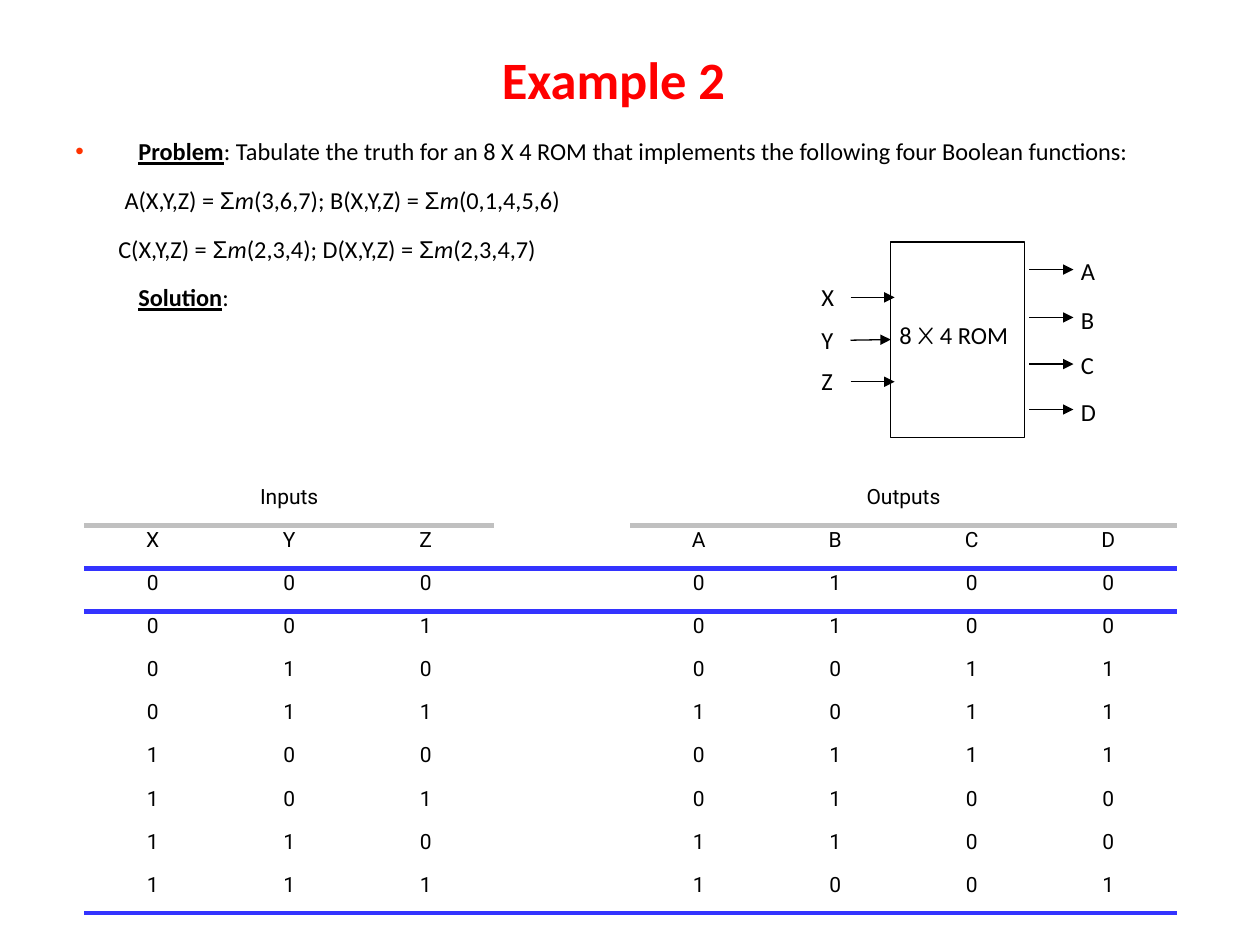
from typing import NamedTuple

from lxml import etree
from pptx import Presentation
from pptx import util as u
from pptx.dml.color import RGBColor
from pptx.enum import shapes, text
from pptx.oxml import ns

BLACK, RED, GREY, BLUE = "000000", "FF0000", "C0C0C0", "3333FF"
BODY_SIZE = 13.9
INPUTS = "XYZ"
MINTERMS = {"A": (3, 6, 7), "B": (0, 1, 4, 5, 6), "C": (2, 3, 4), "D": (2, 3, 4, 7)}
NO_TABLE_STYLE = "{2D5ABB26-0587-4C30-8999-92F81FD0307C}"


class Port(NamedTuple):
    name: str
    arrow_y: float
    label_top: float


INPUT_PORTS = [Port("X", 2.36, 2.19), Port("Y", 2.7, 2.53), Port("Z", 3.03, 2.86)]
OUTPUT_PORTS = [Port("A", 2.14, 1.98), Port("B", 2.52, 2.37),
                Port("C", 2.89, 2.73), Port("D", 3.25, 3.1)]


def colour(value: str) -> RGBColor:
    return RGBColor.from_string(value)


def add_xml(parent, tag: str, **attributes: str):
    return etree.SubElement(parent, ns.qn(tag), **attributes)


def add_span(para, words: str, size: float = 14, font: str = "Calibri", ink: str = BLACK,
             bold: bool = False, italic: bool = False, underline: bool = False) -> None:
    span = para.add_run()
    span.text = words
    span.font.size, span.font.name = u.Pt(size), font
    span.font.bold, span.font.italic, span.font.underline = bold, italic, underline
    span.font.color.rgb = colour(ink)


def add_box(page, left: float, top: float, width: float, height: float, wrap: bool = False):
    box = page.shapes.add_textbox(u.Inches(left), u.Inches(top), u.Inches(width), u.Inches(height))
    box.text_frame.word_wrap = wrap
    return box.text_frame


def add_arrow(page, left: float, right: float, y: float):
    arrow = page.shapes.add_connector(shapes.MSO_CONNECTOR.STRAIGHT, u.Inches(left),
                                      u.Inches(y), u.Inches(right), u.Inches(y))
    arrow.line.color.rgb = colour(BLACK)
    arrow.line.width = u.Pt(0.75)
    add_xml(arrow.line._get_or_add_ln(), "a:tailEnd", type="triangle")
    add_xml(arrow._element.spPr, "a:effectLst")
    return arrow


def indent(para, margin: float, first_line: float = 0) -> None:
    properties = para._p.get_or_add_pPr()
    properties.set("marL", str(u.Inches(margin)))
    properties.set("indent", str(u.Inches(first_line)))


def add_functions(para, names: str) -> None:
    lead = ""
    for name in names:
        add_span(para, f"{lead}{name}(X,Y,Z) = ", size=BODY_SIZE)
        add_span(para, "Σ", size=BODY_SIZE, font="Arial")
        add_span(para, "m", size=BODY_SIZE, italic=True)
        add_span(para, f"({','.join(map(str, MINTERMS[name]))})", size=BODY_SIZE)
        lead = "; "


def add_problem(page) -> None:
    frame = add_box(page, 0.5, 0.92, 8.92, 2, wrap=True)
    problem = frame.paragraphs[0]
    first, second, solution = (frame.add_paragraph() for _ in range(3))
    for para in frame.paragraphs:
        para.line_spacing = 1.5
    for para in (first, second, solution):
        para.space_before = u.Pt(2.8)

    indent(problem, 0.5, -0.5)
    properties = problem._p.get_or_add_pPr()
    add_xml(add_xml(properties, "a:buClr"), "a:srgbClr", val="FF3300")
    add_xml(properties, "a:buFont", typeface="Arial")
    add_xml(properties, "a:buChar", char="•")
    add_span(problem, "Problem", size=BODY_SIZE, bold=True, underline=True)
    add_span(problem, ": Tabulate the truth for an 8 X 4 ROM that implements "
                      "the following four Boolean functions:", size=BODY_SIZE)

    indent(first, 0.39)
    add_functions(first, "AB")
    indent(second, 0.34)
    add_functions(second, "CD")
    indent(solution, 0.5)
    add_span(solution, "Solution", size=BODY_SIZE, bold=True, underline=True)
    add_span(solution, ":", size=BODY_SIZE)


def add_rom(page) -> None:
    rom = page.shapes.add_shape(shapes.MSO_SHAPE.RECTANGLE, u.Inches(7.07), u.Inches(1.92),
                                u.Inches(1.06), u.Inches(1.55))
    rom.shadow.inherit = False
    rom.fill.background()
    rom.line.color.rgb = colour(BLACK)
    rom.line.width = u.Pt(0.75)

    para = add_box(page, 7.04, 2.49, 1.18, 0.34).paragraphs[0]
    add_span(para, "8 ")
    add_span(para, "X", font="Comic Neue")
    add_span(para, " 4 ROM")

    for ports, label_left, start, end in ((INPUT_PORTS, 6.42, 6.75, 7.1),
                                          (OUTPUT_PORTS, 8.48, 8.17, 8.52)):
        for port in ports:
            arrow = add_arrow(page, start, end, port.arrow_y)
            if port.name == "Y":
                arrow.end_connect(rom, 1)
            label = add_box(page, label_left, port.label_top, 0.33, 0.34)
            add_span(label.paragraphs[0], port.name)


def add_border(cell, side: str, ink: str) -> None:
    line = add_xml(cell._tc.get_or_add_tcPr(), f"a:ln{side}", w=str(u.Pt(3)))
    add_xml(add_xml(line, "a:solidFill"), "a:srgbClr", val=ink)


def table_rows() -> list[list[str]]:
    rows = [["Inputs", "", "", "", "Outputs", "", "", ""], [*INPUTS, "", *MINTERMS]]
    for number in range(2 ** len(INPUTS)):
        outputs = [str(int(number in terms)) for terms in MINTERMS.values()]
        rows.append([*f"{number:03b}", "", *outputs])
    return rows


def add_truth_table(page) -> None:
    rows = table_rows()
    last, gap = len(rows) - 1, len(INPUTS)
    frame = page.shapes.add_table(len(rows), len(rows[0]), u.Inches(0.67), u.Inches(3.83),
                                  u.Inches(8.67), u.Inches(3.42))
    table = frame.table
    table.first_row = table.horz_banding = False
    table._tbl.tblPr.find(ns.qn("a:tableStyleId")).text = NO_TABLE_STYLE

    for r, row in enumerate(rows):
        for c, words in enumerate(row):
            cell = table.cell(r, c)
            cell.margin_left = cell.margin_right = u.Inches(0.24)
            cell.margin_top = cell.margin_bottom = u.Inches(0.02 if words else 0)
            # Rules above and below the headings, and under the last row
            if r == 1 and c != gap:
                add_border(cell, "T", GREY)
            elif r == 2:
                add_border(cell, "T", BLUE)
            if r == 0 and c != gap:
                add_border(cell, "B", GREY)
            elif r in (1, last):
                add_border(cell, "B", BLUE)
            cell.fill.background()
            if words:
                para = cell.text_frame.paragraphs[0]
                para.alignment = text.PP_ALIGN.CENTER
                add_span(para, words, size=12, font="Roboto")

    table.cell(0, 0).merge(table.cell(0, gap - 1))
    table.cell(0, gap + 1).merge(table.cell(0, len(rows[0]) - 1))


def main() -> None:
    deck = Presentation()
    deck.slide_width, deck.slide_height = u.Inches(10), u.Inches(7.5)
    page = deck.slides.add_slide(deck.slide_layouts[6])

    # Title
    title = add_box(page, 0.37, 0, 9, 1.25, wrap=True)
    title.vertical_anchor = text.MSO_ANCHOR.MIDDLE
    title.paragraphs[0].alignment = text.PP_ALIGN.CENTER
    add_span(title.paragraphs[0], "Example 2", size=30, ink=RED, bold=True)

    # Truth table, problem statement and block diagram
    add_truth_table(page)
    add_problem(page)
    add_rom(page)
    deck.save("out.pptx")


if __name__ == "__main__":
    main()
